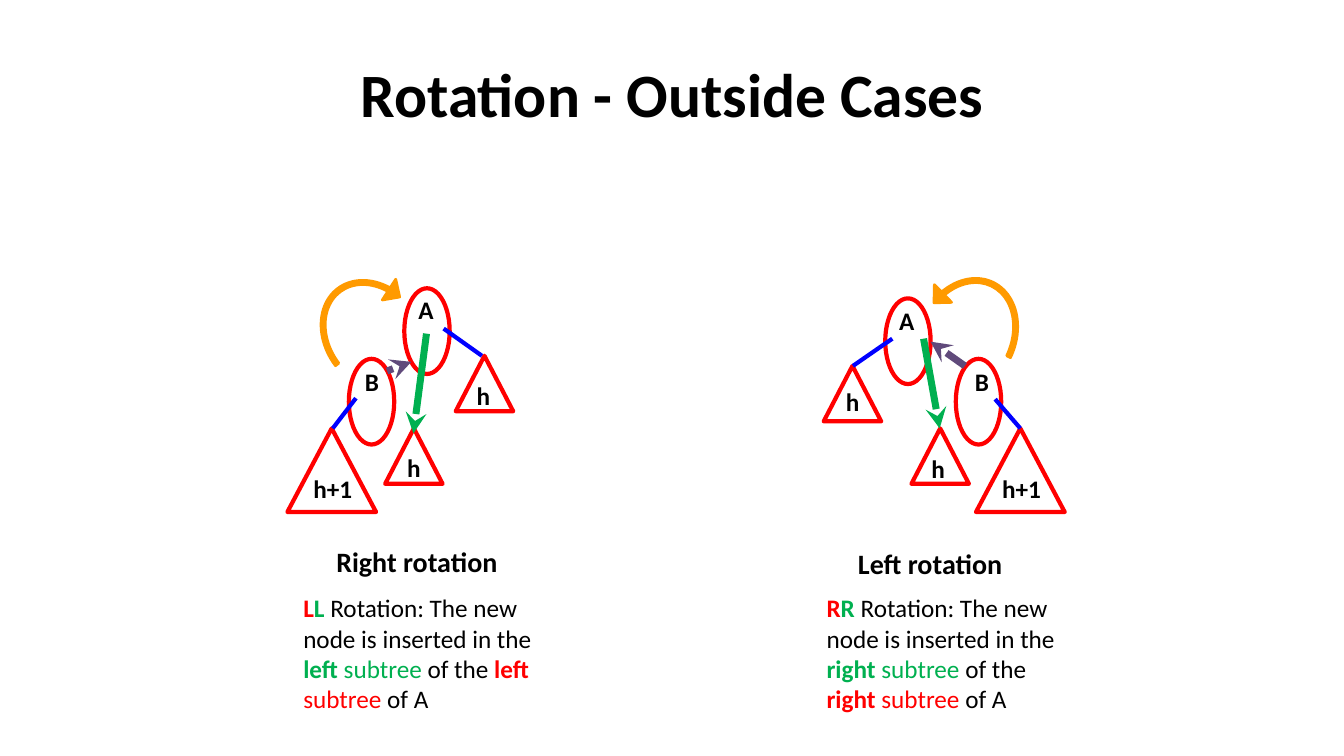
"""Build a slide comparing the two outside cases of tree rotation."""
from pptx import Presentation
from pptx import util as u
from pptx.dml.color import RGBColor
from pptx.enum import shapes, text
from pptx.oxml import ns
from lxml import etree

CELL = u.Inches(0.1)
FONT = "Calibri"
BLACK = RGBColor(0, 0, 0)
RED = RGBColor(0xFF, 0, 0)
BLUE = RGBColor(0, 0, 0xFF)
GREEN = RGBColor(0, 0xB0, 0x50)
PURPLE = RGBColor(0x60, 0x4A, 0x7B)
ORANGE = RGBColor(0xFF, 0x9A, 0)

OUTLINES = {
    "A": (shapes.MSO_SHAPE.OVAL, 4.5, 8.5),
    "B": (shapes.MSO_SHAPE.OVAL, 4.5, 8.5),
    "h": (shapes.MSO_SHAPE.ISOSCELES_TRIANGLE, 5.7, 5.5),
    "h+1": (shapes.MSO_SHAPE.ISOSCELES_TRIANGLE, 8.8, 8.3),
}
LABEL_WIDTHS = {"A": 4.5, "B": 3.2, "h": 4.5, "h+1": 7.4}

RIGHT_ROTATION = {
    "parts": [
        ("A", (40.1, 28.6), (40.5, 27.7)),
        ("B", (34.6, 35.6), (35.2, 34.8)),
        ("h", (45.2, 35.3), (46.3, 36.2)),
        ("h", (38.2, 42.5), (39.4, 43.4)),
        ("h+1", (28.5, 42.5), (30.1, 45.5)),
    ],
    "edges": [((47.8, 35.3), (44, 32.6)), ((33, 42.5), (35.3, 39.5))],
    "moved_child": ((41, 43), (42.3, 33.1)),
    "new_parent": ((40.8, 35.9), (38.4, 36.8)),
    "turn": (31.3, 323.1, False),
    "caption": ("Right rotation", 26.5, 52.5),
    "note": ("L", "left", 29.1),
}
LEFT_ROTATION = {
    "parts": [
        ("A", (87.8, 29.6), (88.2, 28.8)),
        ("B", (94.8, 35.6), (95.7, 34.8)),
        ("h", (81.7, 36.3), (82.9, 36.8)),
        ("h", (90.4, 42.5), (91.4, 43.5)),
        ("h+1", (96.8, 42.5), (98.4, 45.5)),
    ],
    "edges": [((84.6, 36.3), (88.5, 33.6)), ((101.2, 42.5), (98.7, 39.6))],
    "moved_child": ((93.2, 42.5), (91.6, 33.6)),
    "new_parent": ((92.3, 33.9), (95.7, 36.3)),
    "turn": (90.1, 25.6, True),
    "caption": ("Left rotation", 77.4, 52.7),
    "note": ("R", "right", 81),
}


def grid(*cells):
    """Turn counts of grid cells into slide lengths."""
    return [u.Emu(round(count * CELL)) for count in cells]


def add_span(para, words, size, color=BLACK, bold=True):
    """Append one formatted run to a paragraph."""
    span = para.add_run()
    span.text = words
    span.font.name = FONT
    span.font.size = u.Pt(size)
    span.font.bold = bold
    span.font.color.rgb = color


def add_box(slide, left, top, width, height, inset=1.5):
    """Add a wrapped text box and return its first paragraph."""
    box = slide.shapes.add_textbox(*grid(left, top, width, height))
    frame = box.text_frame
    frame.word_wrap = True
    frame.margin_top, frame.margin_bottom = grid(inset, inset)
    return frame.paragraphs[0]


def add_part(slide, name, corner, label_corner):
    """Add a red node or subtree outline with its label."""
    preset, width, height = OUTLINES[name]
    part = slide.shapes.add_shape(preset, *grid(*corner, width, height))
    part.shadow.inherit = False
    part.fill.background()
    part.line.color.rgb = RED
    part.line.width = u.Pt(3)
    add_span(add_box(slide, *label_corner, LABEL_WIDTHS[name], 6.1), name, 18)


def add_link(slide, start, end, color, width=3, arrow=False):
    """Add a straight link, with an optional arrowhead at its start."""
    link = slide.shapes.add_connector(
        shapes.MSO_CONNECTOR.STRAIGHT, *grid(*start, *end))
    link.line.color.rgb = color
    link.line.width = u.Pt(width)
    if arrow:
        etree.SubElement(link.line._get_or_add_ln(), ns.qn("a:headEnd"), type="stealth")
    etree.SubElement(link._element.spPr, ns.qn("a:effectLst"))


def add_turn(slide, left, angle, mirrored):
    """Add the curved arrow that shows the direction of rotation."""
    turn = slide.shapes.add_shape(
        shapes.MSO_SHAPE.CIRCULAR_ARROW, *grid(left, 26.4, 11.6, 14))
    turn.shadow.inherit = False
    for index, value in enumerate((0.035, 9.055, 194.768, 108, 0.105)):
        turn.adjustments[index] = value
    turn.rotation = angle
    if mirrored:
        turn._element.spPr.xfrm.set("flipH", "1")
    turn.fill.solid()
    turn.fill.fore_color.rgb = ORANGE
    turn.line.color.rgb = ORANGE
    turn.line.width = u.Pt(2)


def add_caption(slide, words, left, top):
    """Add the centred name of a rotation."""
    para = add_box(slide, left, top, 29.7, 6.4)
    para.alignment = text.PP_ALIGN.CENTER
    add_span(para, words, 20)


def add_note(slide, letter, side, left):
    """Add the explanation of where the new node goes."""
    para = add_box(slide, left, 58.3, 25, 13.1, inset=0.5)
    for words, color, bold in (
        (letter, RED, True),
        (letter, GREEN, True),
        (" Rotation: The new node is inserted in the ", BLACK, False),
        (side, GREEN, True),
        (" subtree", GREEN, False),
        (" of the ", BLACK, False),
        (side, RED, True),
        (" subtree", RED, False),
        (" of A", BLACK, False),
    ):
        add_span(para, words, 18, color, bold)


def add_rotation(slide, case):
    """Draw one rotation case with its tree, caption and note."""
    for part in case["parts"]:
        add_part(slide, *part)
    for edge in case["edges"]:
        add_link(slide, *edge, BLUE)
    add_link(slide, *case["new_parent"], PURPLE, 5, arrow=True)
    add_link(slide, *case["moved_child"], GREEN, 5, arrow=True)
    add_turn(slide, *case["turn"])
    add_caption(slide, *case["caption"])
    add_note(slide, *case["note"])


def add_title(slide, words):
    """Place and format the slide title."""
    title = slide.shapes.title
    title.left, title.top, title.width, title.height = grid(6.7, 3, 120, 12.5)
    title.text_frame.vertical_anchor = text.MSO_ANCHOR.MIDDLE
    para = title.text_frame.paragraphs[0]
    para.alignment = text.PP_ALIGN.CENTER
    add_span(para, words, 44)


def main():
    """Build and save the deck."""
    deck = Presentation()
    deck.slide_width, deck.slide_height = u.Inches(13.33), u.Inches(7.5)
    slide = deck.slides.add_slide(deck.slide_layouts.get_by_name("Title Only"))
    add_title(slide, "Rotation - Outside Cases")
    for case in (RIGHT_ROTATION, LEFT_ROTATION):
        add_rotation(slide, case)
    deck.save("out.pptx")


if __name__ == "__main__":
    main()
